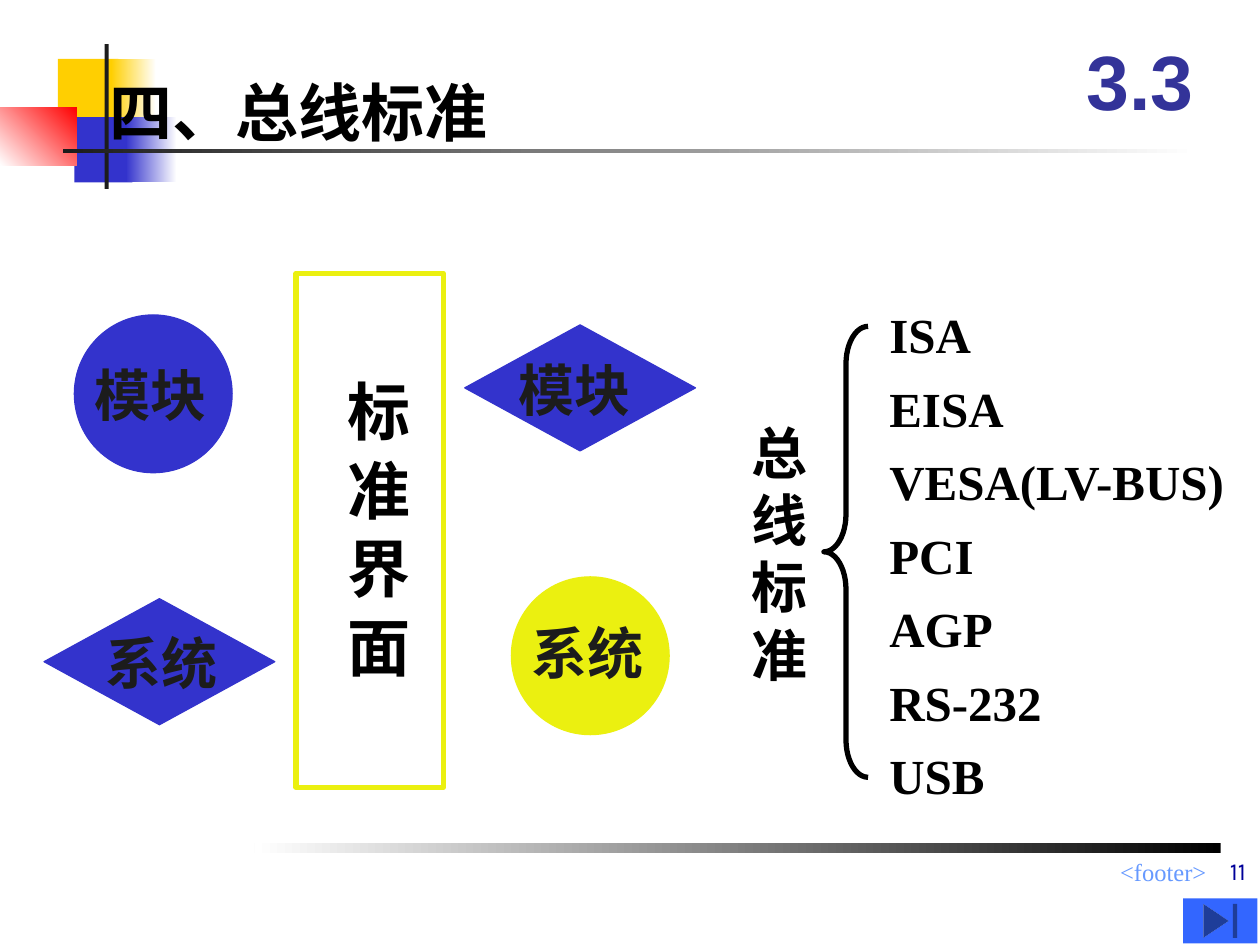
from pptx import Presentation
from pptx.dml.color import RGBColor
from pptx.enum.shapes import MSO_SHAPE
from pptx.enum.text import MSO_ANCHOR, PP_ALIGN
from pptx.util import Cm, Pt

RECTANGLE, OVAL, DIAMOND = MSO_SHAPE.RECTANGLE, MSO_SHAPE.OVAL, MSO_SHAPE.DIAMOND
LEFT_BRACE, END_BUTTON = MSO_SHAPE.LEFT_BRACE, MSO_SHAPE.ACTION_BUTTON_END
LEFT, CENTER, RIGHT = PP_ALIGN.LEFT, PP_ALIGN.CENTER, PP_ALIGN.RIGHT
TOP, MIDDLE, BOTTOM = MSO_ANCHOR.TOP, MSO_ANCHOR.MIDDLE, MSO_ANCHOR.BOTTOM

COLORS = {
    "black": "000000", "white": "FFFFFF", "dark": "1C1C1C",
    "blue": "3333CC", "gold": "FFCF01", "red": "FF0000",
    "yellow": "EBF010", "chapter": "333399", "footer": "6699FF",
    "number": "000099", "button": "3366FF",
}


def rgb(name):
    return RGBColor.from_string(COLORS[name])


class SlideBuilder:
    def __init__(self, slide, font="Times New Roman"):
        self.slide = slide
        self.font = font

    def shape(self, kind, box, fill=None, line=None, width=0.75, shapes=None):
        shapes = self.slide.shapes if shapes is None else shapes
        shape = shapes.add_shape(kind, *map(Cm, box))
        shape.shadow.inherit = False
        if fill:
            shape.fill.solid()
            shape.fill.fore_color.rgb = rgb(fill)
        else:
            shape.fill.background()
        if line:
            shape.line.color.rgb = rgb(line)
            shape.line.width = Pt(width)
        else:
            shape.line.fill.background()
        return shape

    def gradient(self, box, start, end, angle=180):
        shape = self.shape(RECTANGLE, box)
        shape.fill.gradient()
        shape.fill.gradient_angle = angle
        for stop, color in zip(shape.fill.gradient_stops, (start, end)):
            stop.color.rgb = rgb(color)

    def text(self, box, text, size, color="black", bold=True, font=None,
             align=LEFT, anchor=TOP, spacing=None, wrap=True, shapes=None):
        shapes = self.slide.shapes if shapes is None else shapes
        text_frame = shapes.add_textbox(*map(Cm, box)).text_frame
        text_frame.text = text
        text_frame.word_wrap = wrap
        text_frame.vertical_anchor = anchor
        for paragraph in text_frame.paragraphs:
            paragraph.alignment = align
            if spacing:
                paragraph.line_spacing = spacing
            for run in paragraph.runs:
                run.font.name = font or self.font
                run.font.size = Pt(size)
                run.font.bold = bold
                run.font.color.rgb = rgb(color)
        return text_frame

    def node(self, kind, box, color, label, label_left, label_top):
        shapes = self.slide.shapes.add_group_shape().shapes
        self.shape(kind, box, color, color, shapes=shapes)
        self.text((label_left, label_top, 2.77, 1.63), label, 32, "dark",
                  wrap=False, shapes=shapes)

    def vertical_panel(self, frame_box, text_box, text):
        shapes = self.slide.shapes.add_group_shape().shapes
        self.shape(RECTANGLE, frame_box, line="yellow", width=3, shapes=shapes)
        text_frame = self.text(text_box, text, 36, align=CENTER, shapes=shapes)
        text_frame.margin_left = text_frame.margin_right = Cm(0.13)
        text_frame.margin_top = text_frame.margin_bottom = Cm(0.25)
        text_frame._txBody.bodyPr.set("vert", "eaVert")


def main():
    presentation = Presentation()
    presentation.slide_width, presentation.slide_height = Cm(25.4), Cm(19.05)
    slide = presentation.slides.add_slide(presentation.slide_layouts[6])
    builder = SlideBuilder(slide)

    # Corner ornament and rules
    builder.shape(RECTANGLE, (1.17, 1.19, 1.22, 1.32), "gold")
    builder.gradient((2.24, 1.19, 0.91, 1.32), "white", "gold")
    builder.shape(RECTANGLE, (1.5, 2.36, 1.17, 1.32), "blue")
    builder.gradient((2.54, 2.36, 1.02, 1.32), "white", "blue")
    builder.gradient((0, 2.16, 1.55, 1.17), "red", "white", 225)
    builder.shape(RECTANGLE, (2.11, 0.89, 0.08, 2.92), "dark")
    builder.gradient((1.27, 3, 22.86, 0.08), "white", "dark")
    builder.gradient((5.13, 16.99, 19.48, 0.2), "black", "white")

    # Title and section number
    builder.text((1.96, 1.35, 14, 1.78), "四、总线标准", 36)
    builder.text((21.39, 0.43, 3.18, 2.34), "3.3", 44, "chapter",
                 font="Arial", align=CENTER, anchor=MIDDLE)

    # Modules and systems around the standard interface
    builder.node(OVAL, (1.5, 6.35, 3.18, 3.18), "blue", "模块", 1.65, 7.14)
    builder.node(OVAL, (10.31, 11.63, 3.18, 3.18), "yellow", "系统", 10.46, 12.34)
    builder.node(DIAMOND, (0.89, 12.07, 4.65, 2.54), "blue", "系统", 1.88, 12.55)
    builder.node(DIAMOND, (9.37, 6.55, 4.65, 2.54), "blue", "模块", 10.21, 7.04)
    builder.vertical_panel((5.97, 5.51, 2.97, 10.36), (6.45, 7.42, 2.03, 8.89),
                           "标 准 界 面")

    # Bus standards with brace
    builder.text((14.91, 8.31, 1.5, 5.69), "\n".join("总线标准"), 32)
    brace = builder.shape(LEFT_BRACE, (16.61, 6.58, 0.89, 9.09),
                          line="black", width=3)
    brace.adjustments[0] = 0.85
    standards = ["ISA", "EISA", "VESA(LV-BUS)", "PCI", "AGP", "RS-232", "USB"]
    builder.text((17.68, 5.72, 7.72, 10.64), "\n".join(standards), 28, spacing=1.25)

    # Footer, slide number and navigation button
    builder.text((9.96, 17.15, 14.61, 0.66), "<footer>", 14, "footer",
                 bold=False, align=RIGHT)
    builder.text((13.23, 16.71, 12.14, 1.27), "11", 14, "number", bold=False,
                 font="Karla", align=RIGHT, anchor=BOTTOM)
    builder.shape(END_BUTTON, (23.85, 18.11, 1.5, 0.91), "button")

    presentation.save("out.pptx")


if __name__ == "__main__":
    main()
